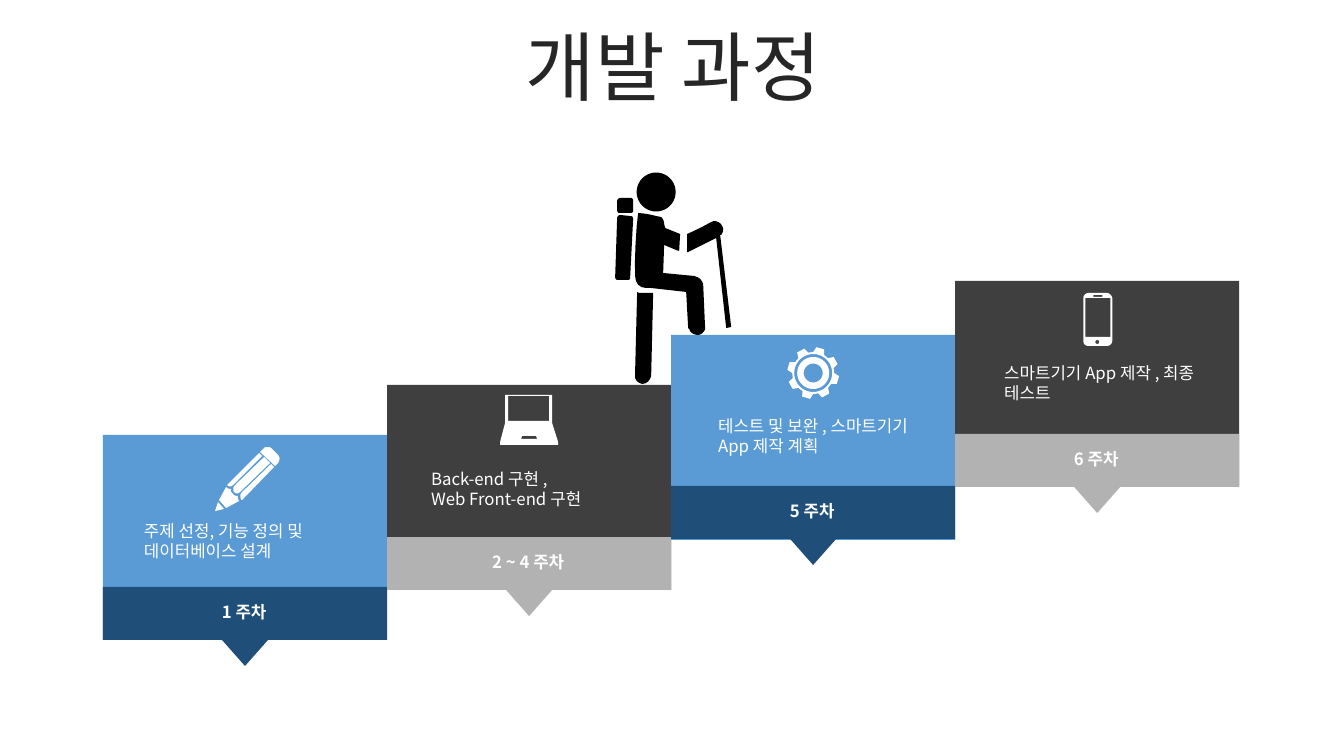
from math import cos, pi, radians, sin

from lxml.etree import SubElement
from pptx import Presentation
from pptx.dml.color import RGBColor as Rgb
from pptx.enum.shapes import MSO_SHAPE as Shape
from pptx.enum.text import MSO_ANCHOR as Anchor, MSO_AUTO_SIZE as Auto, PP_ALIGN as Align
from pptx.oxml.ns import qn
from pptx.util import Inches, Pt

PX = 914400 / 100.8
FONT = "Noto Sans CJK KR"
HUES = {"blue": "5B9BD5", "navy": "1F4E79", "dark": "3F3F3F", "gray": "B2B2B2",
        "ink": "262626", "black": "000000", "white": "FFFFFF"}

# Content: step top, band top, note place, note lines, week
TITLE = "개발 과정"
STEPS = [
    (435, 587, (128, 516), ["주제 선정, 기능 정의 및 데이터베이스 설계"], "1 주차"),
    (385, 537, (415, 464), ["Back-end 구현 ,", "Web Front-end 구현"], "2 ~ 4 주차"),
    (335, 486, (702, 411), ["테스트 및 보완 , 스마트기기 App 제작 계획"], "5 주차"),
    (281, 434, (988, 358), ["스마트기기 App 제작 , 최종 테스트"], "6 주차"),
]
PAIRS = [("blue", "navy"), ("dark", "gray")]
LEFT, WIDE, TALL = 103, 284, 205
BAND, TIP, HALF = 53, 79, 23


# Outlines: two numbers are a corner, six are a curve
def ring(x, y, size):
    turns = [2 * pi * k / 40 for k in range(40)]
    return [(x + size / 2 * cos(t), y + size / 2 * sin(t)) for t in turns]


def box(x, y, w, h):
    return [(x, y), (x + w, y), (x + w, y + h), (x, y + h)]


def cog(x, y):
    tooth = [(0, 21), (7, 26), (25, 26), (31, 21)]
    spots = [(radians(45 * k + a), r) for k in range(8) for a, r in tooth]
    return [(x + r * sin(a), y - r * cos(a)) for a, r in spots]


LEG = [(637, 292), (639, 293), (653, 293), (651, 376),
       (650, 380, 647, 384, 642, 384), (638, 383, 634, 380, 635, 375), (635, 371)]
ARM = [(714, 221), (717, 221, 721, 223, 722, 226), (724, 229, 723, 232, 721, 235),
       (720, 235), (731, 327), (726, 328), (716, 238), (688, 252), (687, 252),
       (687, 234), (696, 230, 704, 226, 711, 222), (712, 222, 713, 221, 714, 221)]
PACK = [(620, 215), (630, 216), (632, 216, 633, 217, 633, 219), (630, 278),
        (630, 279, 629, 280, 628, 280), (617, 280), (616, 280, 615, 278, 615, 277),
        (617, 218), (617, 217, 618, 215, 620, 215)]
TRUNK = [(638, 213), (642, 213, 653, 215, 656, 216), (661, 217),
         (663, 219, 664, 221, 664, 224), (665, 228), (680, 234), (679, 251),
         (676, 250), (664, 245), (663, 273), (694, 276),
         (695, 276, 696, 277, 697, 277), (700, 278, 702, 281, 703, 284), (705, 329),
         (704, 332, 701, 335, 698, 335), (694, 335, 690, 333, 689, 329), (688, 328),
         (686, 292), (651, 288), (646, 288), (639, 288, 635, 283, 635, 276),
         (634, 263, 636, 226, 638, 213)]
ROLL = [(620, 198), (631, 198), (632, 198, 633, 199, 633, 201), (633, 211),
        (633, 212, 632, 213, 630, 213), (619, 213), (618, 213, 617, 212, 617, 210),
        (617, 201), (617, 199, 619, 198, 620, 198)]
HIKER = [LEG, ARM, PACK, TRUNK, ROLL, ring(656, 192, 39)]

PENCIL = [
    [(218, 502), (224, 509), (215, 511)],
    [(226, 487), (228, 489, 230, 489, 231, 489), (230, 490, 231, 492, 233, 494),
     (234, 496, 237, 496, 238, 496), (237, 497, 238, 499, 239, 501), (226, 508), (219, 500)],
    [(271, 464), (274, 467), (242, 500), (241, 500, 241, 500, 241, 499),
     (240, 498, 240, 495, 241, 493)],
    [(264, 457), (270, 463), (240, 492), (238, 494, 236, 494, 234, 492),
     (233, 491, 233, 488, 234, 486)],
    [(259, 453), (262, 456), (233, 485), (231, 487, 229, 487, 227, 485)],
    [(267, 447), (268, 447, 270, 447, 271, 448), (278, 455), (280, 457, 280, 460, 278, 463),
     (277, 464, 276, 465, 275, 466), (260, 452), (264, 448), (265, 447, 266, 447, 267, 447)],
]
LAPTOP = [
    [(505, 395), (552, 395), (552, 423), (558, 442), (558, 445), (500, 445),
     (500, 442), (505, 423)],
    box(508, 396, 41, 25),
    [(522, 436), (521, 439), (537, 439), (536, 436)],
]
GEAR = [cog(813, 373)] + [ring(813, 373, size) for size in (38, 32, 19)]
PHONE = [
    [(1088, 293), (1107, 293), (1109, 293, 1112, 296, 1112, 298), (1112, 341),
     (1112, 344, 1109, 346, 1107, 346), (1088, 346), (1085, 346, 1083, 344, 1083, 341),
     (1083, 298), (1083, 296, 1085, 293, 1088, 293)],
    box(1085, 298, 25, 39), box(1093, 295, 9, 2), ring(1097, 342, 4),
]
ICONS = [(HIKER, "black"), (PENCIL, "white"), (LAPTOP, "white"),
         (GEAR, "white"), (PHONE, "white")]

deck = Presentation()
deck.slide_width, deck.slide_height = Inches(13.33), Inches(7.5)
slide = deck.slides.add_slide(deck.slide_layouts[6])
items = slide.shapes


def emu(*nums):
    return [round(n * PX) for n in nums]


def paint(shape, hue):
    shape.shadow.inherit = False
    shape.fill.solid()
    shape.fill.fore_color.rgb = Rgb.from_string(HUES[hue])
    shape.line.fill.background()


def trace(marks):
    """Turn corners and curves into plain points."""
    out = []
    for mark in marks:
        if len(mark) == 2:
            out.append(mark)
            continue
        knots = [out[-1], mark[:2], mark[2:4], mark[4:]]
        for t in (0.25, 0.5, 0.75, 1):
            s = 1 - t
            mix = (s ** 3, 3 * s * s * t, 3 * s * t * t, t ** 3)
            out.append(tuple(sum(m * k[i] for m, k in zip(mix, knots)) for i in (0, 1)))
    return out


def draw(parts, hue):
    pen = None
    for part in parts:
        first, *rest = [emu(*dot) for dot in trace(part)]
        if pen is None:
            pen = items.build_freeform(*first, scale=1.0)
        else:
            pen.move_to(*first)
        pen.add_line_segments(rest, close=True)
    paint(pen.convert_to_shape(), hue)


def write(spot, lines, size, hue, bold=False, align=Align.LEFT, inset=10):
    area = items.add_textbox(*emu(*spot))
    frame = area.text_frame
    frame.word_wrap = True
    frame.auto_size = Auto.NONE
    frame.margin_left = emu(inset)[0]
    for i, line in enumerate(lines):
        para = frame.add_paragraph() if i else frame.paragraphs[0]
        para.alignment = align
        run = para.add_run()
        run.text = line
        font = run.font
        font.name, font.size, font.bold = FONT, Pt(size), bold
        font.color.rgb = Rgb.from_string(HUES[hue])
        SubElement(run._r.get_or_add_rPr(), qn("a:ea")).set("typeface", FONT)
    return frame


# Title
head = write((35, 31, 1276, 80), [TITLE], 54, "ink", align=Align.CENTER)
head.vertical_anchor = Anchor.MIDDLE
head.paragraphs[0].line_spacing = 0.9

# Stairs, then their bands and texts
for i, (top, band, note, lines, week) in enumerate(STEPS):
    x = LEFT + i * WIDE
    face, base = PAIRS[i % 2]
    paint(items.add_shape(Shape.RECTANGLE, *emu(x, top, WIDE, TALL)), face)
    mid, low = x + WIDE // 2, band + BAND
    draw([[(x, band), (x + WIDE, band), (x + WIDE, low), (mid + HALF, low),
           (mid, band + TIP), (mid - HALF, low), (x, low)]], base)
    write((*note, 229, 50), lines, 12, "white", inset=16)
    write((x + 58, band + 10, 166, 30), [week], 12, "white", True, Align.CENTER)

# Hiker and icons
for parts, hue in ICONS:
    draw(parts, hue)

deck.save("out.pptx")
